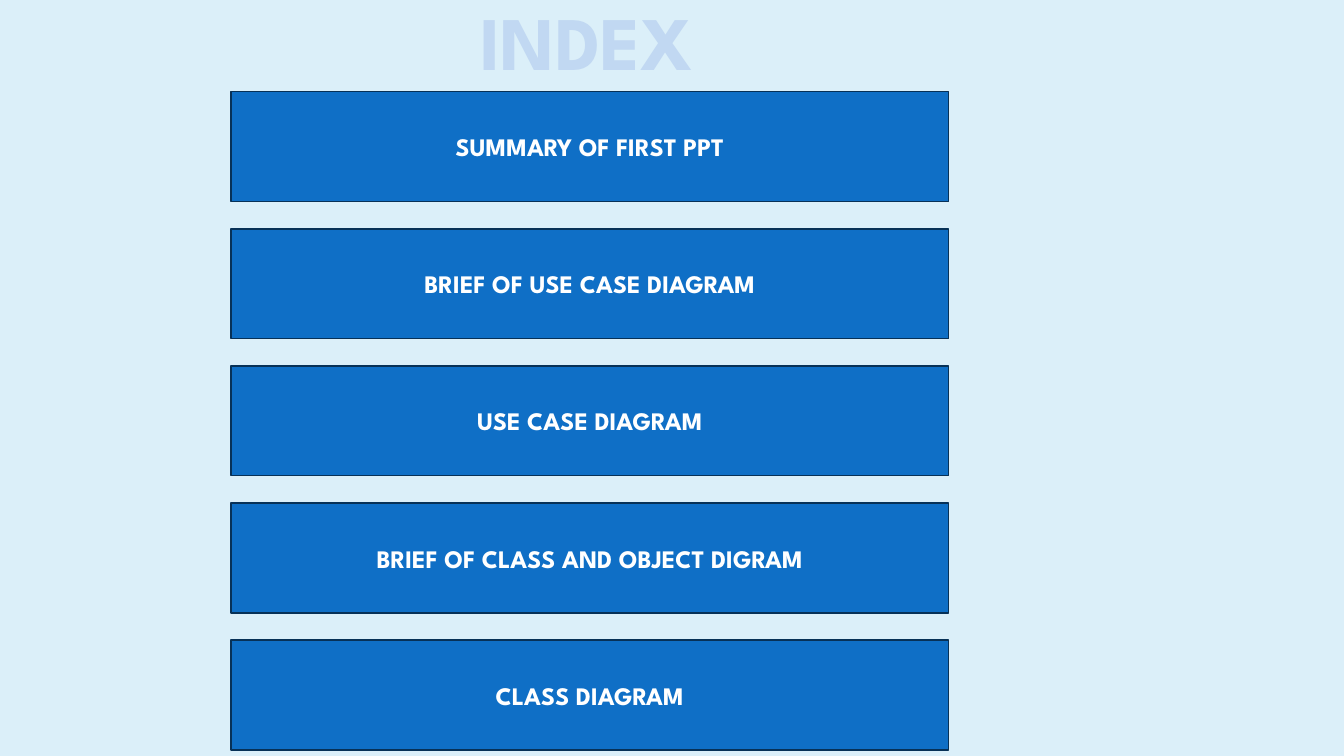
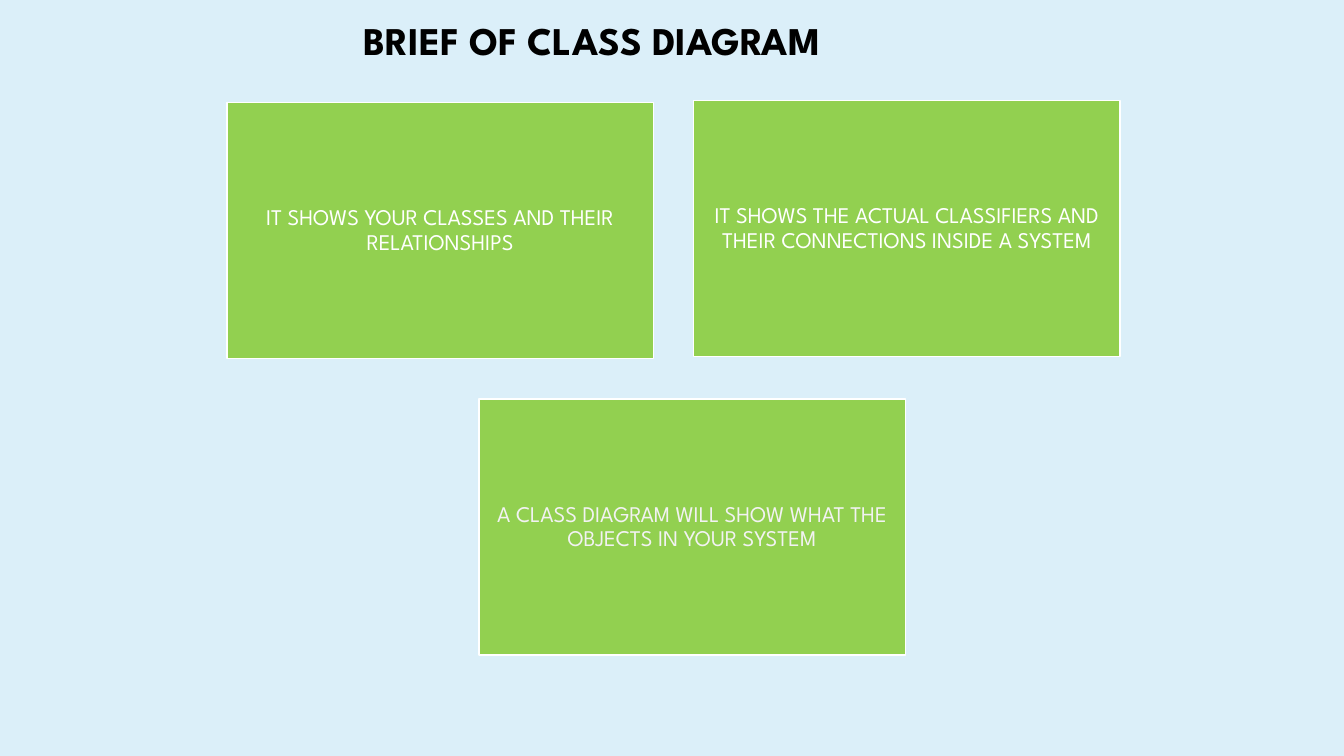
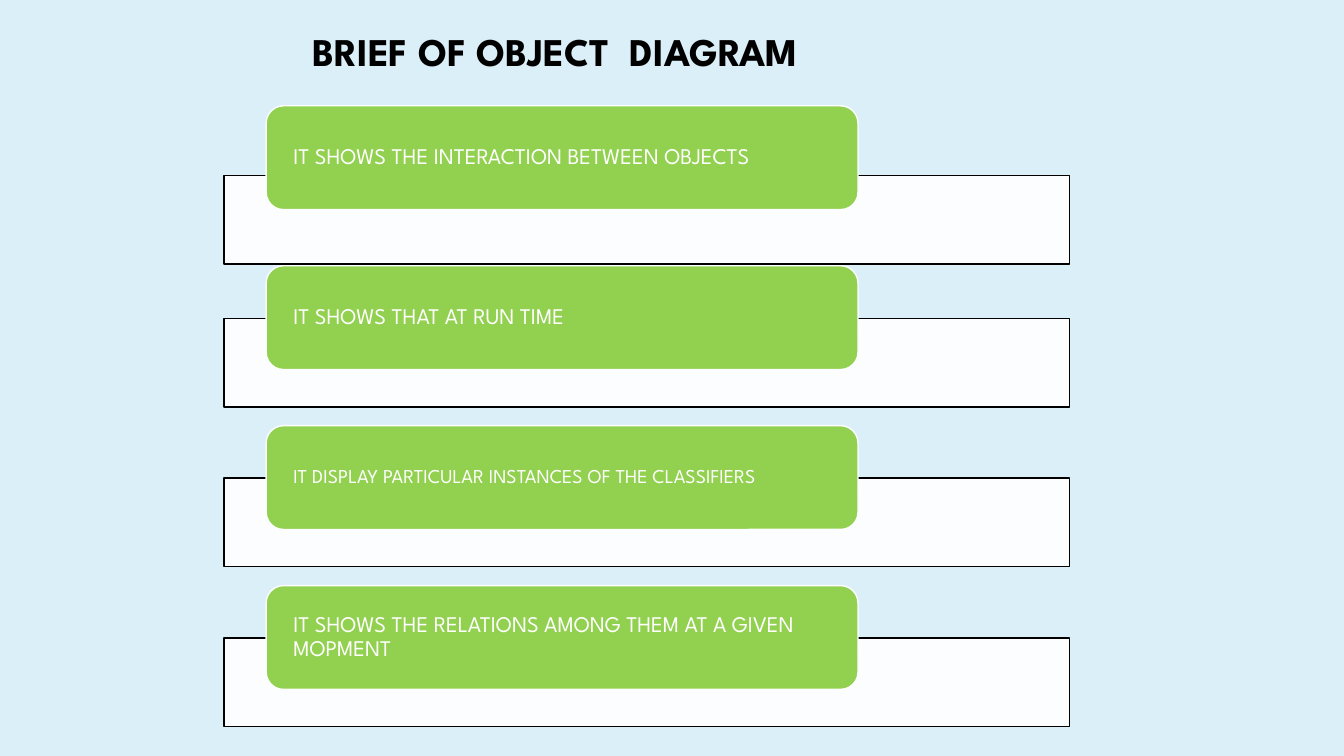
from lxml import etree
from pptx import Presentation
from pptx.dml.color import RGBColor
from pptx.enum.shapes import MSO_SHAPE
from pptx.enum.text import MSO_ANCHOR, MSO_AUTO_SIZE, PP_ALIGN
from pptx.oxml.ns import qn
from pptx.util import Inches, Pt

RECTANGLE, ROUNDED = MSO_SHAPE.RECTANGLE, MSO_SHAPE.ROUNDED_RECTANGLE
LEFT, CENTER = PP_ALIGN.LEFT, PP_ALIGN.CENTER
TOP, MIDDLE = MSO_ANCHOR.TOP, MSO_ANCHOR.MIDDLE
NO_AUTOFIT = MSO_AUTO_SIZE.NONE

FONT = "League Spartan"
SKY = RGBColor(0xDB, 0xEF, 0xF9)
PALE_BLUE = RGBColor(0xC1, 0xD8, 0xF2)
BLUE = RGBColor(0x0F, 0x6F, 0xC6)
NAVY = RGBColor(0x07, 0x31, 0x57)
GREEN = RGBColor(0x92, 0xD0, 0x50)
WHITE = RGBColor(0xFF, 0xFF, 0xFF)
OFF_WHITE = RGBColor(0xF2, 0xF2, 0xF2)
BLACK = RGBColor(0, 0, 0)

INDEX_ENTRIES = [
    "SUMMARY OF FIRST PPT",
    "BRIEF OF USE CASE DIAGRAM",
    "USE CASE DIAGRAM",
    "BRIEF OF CLASS AND OBJECT DIGRAM",
    "CLASS DIAGRAM",
]
CLASS_CARDS = [
    ("IT SHOWS YOUR CLASSES AND THEIR RELATIONSHIPS", 2.25, 1.02, WHITE),
    ("IT SHOWS THE ACTUAL CLASSIFIERS AND THEIR CONNECTIONS INSIDE A SYSTEM",
     6.88, 1, WHITE),
    ("A CLASS DIAGRAM WILL SHOW WHAT THE OBJECTS IN YOUR SYSTEM",
     4.75, 3.96, OFF_WHITE),
]
OBJECT_ROWS = [
    ("IT SHOWS THE INTERACTION BETWEEN OBJECTS", 16, 0.69),
    ("IT SHOWS THAT AT RUN TIME", 16, 0.52),
    ("IT DISPLAY PARTICULAR INSTANCES OF THE CLASSIFIERS", 14, 0.52),
    ("IT SHOWS THE RELATIONS AMONG THEM AT A GIVEN MOPMENT", 16, 0.52),
]
INDEX_TOP, INDEX_PITCH = 0.91, 1.36
ROW_TOP, LAST_ROW_TOP = 1.05, 5.81


def write(shape, text, size, color=WHITE, bold=False, align=CENTER,
          anchor=MIDDLE, margins=(0.1, 0.05), spacing=1.0, wrap=True):
    frame = shape.text_frame
    frame.auto_size = NO_AUTOFIT
    frame.word_wrap = wrap
    frame.vertical_anchor = anchor
    frame.margin_left = frame.margin_right = Inches(margins[0])
    frame.margin_top = frame.margin_bottom = Inches(margins[1])
    para = frame.paragraphs[0]
    para.alignment = align
    para.line_spacing = spacing
    span = para.add_run()
    span.text = text
    span.font.name = FONT
    span.font.size = Pt(size)
    span.font.bold = bold
    span.font.color.rgb = color


def add_page(deck, title, place, size=28, color=BLACK, align=LEFT, wrap=True):
    page = deck.slides.add_slide(deck.slide_layouts[5])
    box = page.shapes.title
    box.left, box.top, box.width, box.height = map(Inches, place)
    write(box, title, size, color, bold=True, align=align, anchor=TOP, wrap=wrap)
    return page


def add_box(page, kind, place, fill, line, opacity=None):
    box = page.shapes.add_shape(kind, *map(Inches, place))
    box.shadow.inherit = False
    box.fill.solid()
    box.fill.fore_color.rgb = fill
    box.line.color.rgb = line
    box.line.width = Pt(1)
    if opacity is not None:
        tint = box.fill._xPr.find(qn("a:solidFill"))[0]
        etree.SubElement(tint, qn("a:alpha")).set("val", str(opacity * 1000))
    return box


def build_index(deck):
    page = add_page(deck, "INDEX", (4.62, -0.1, 2.41, 1.01), size=54,
                    color=PALE_BLUE, align=CENTER, wrap=False)
    for number, entry in enumerate(INDEX_ENTRIES):
        top = INDEX_TOP + number * INDEX_PITCH
        box = add_box(page, RECTANGLE, (2.29, top, 7.12, 1.09), BLUE, NAVY)
        write(box, entry, 18, bold=True)


def build_class_brief(deck):
    page = add_page(deck, "BRIEF OF CLASS DIAGRAM", (3.51, 0.11, 6.98, 0.57))
    for text, left, top, color in CLASS_CARDS:
        card = add_box(page, RECTANGLE, (left, top, 4.23, 2.54), GREEN, WHITE)
        write(card, text, 16, color, margins=(0.07, 0.07), spacing=0.9)


def build_object_brief(deck):
    page = add_page(deck, "BRIEF OF OBJECT  DIAGRAM", (3, 0.22, 6.44, 0.57))
    pitch = (LAST_ROW_TOP - ROW_TOP) / (len(OBJECT_ROWS) - 1)
    for number, (text, size, bar_drop) in enumerate(OBJECT_ROWS):
        top = ROW_TOP + number * pitch
        add_box(page, RECTANGLE, (2.22, top + bar_drop, 8.39, 0.88),
                WHITE, BLACK, opacity=90)
        label = add_box(page, ROUNDED, (2.64, top, 5.87, 1.03), GREEN, WHITE)
        write(label, text, size, align=LEFT, margins=(0.22, 0), spacing=0.9)


def main():
    deck = Presentation()
    deck.slide_width, deck.slide_height = Inches(13.33), Inches(7.5)
    backdrop = deck.slide_master.background.fill
    backdrop.solid()
    backdrop.fore_color.rgb = SKY
    build_index(deck)
    build_class_brief(deck)
    build_object_brief(deck)
    deck.save("out.pptx")


if __name__ == "__main__":
    main()
